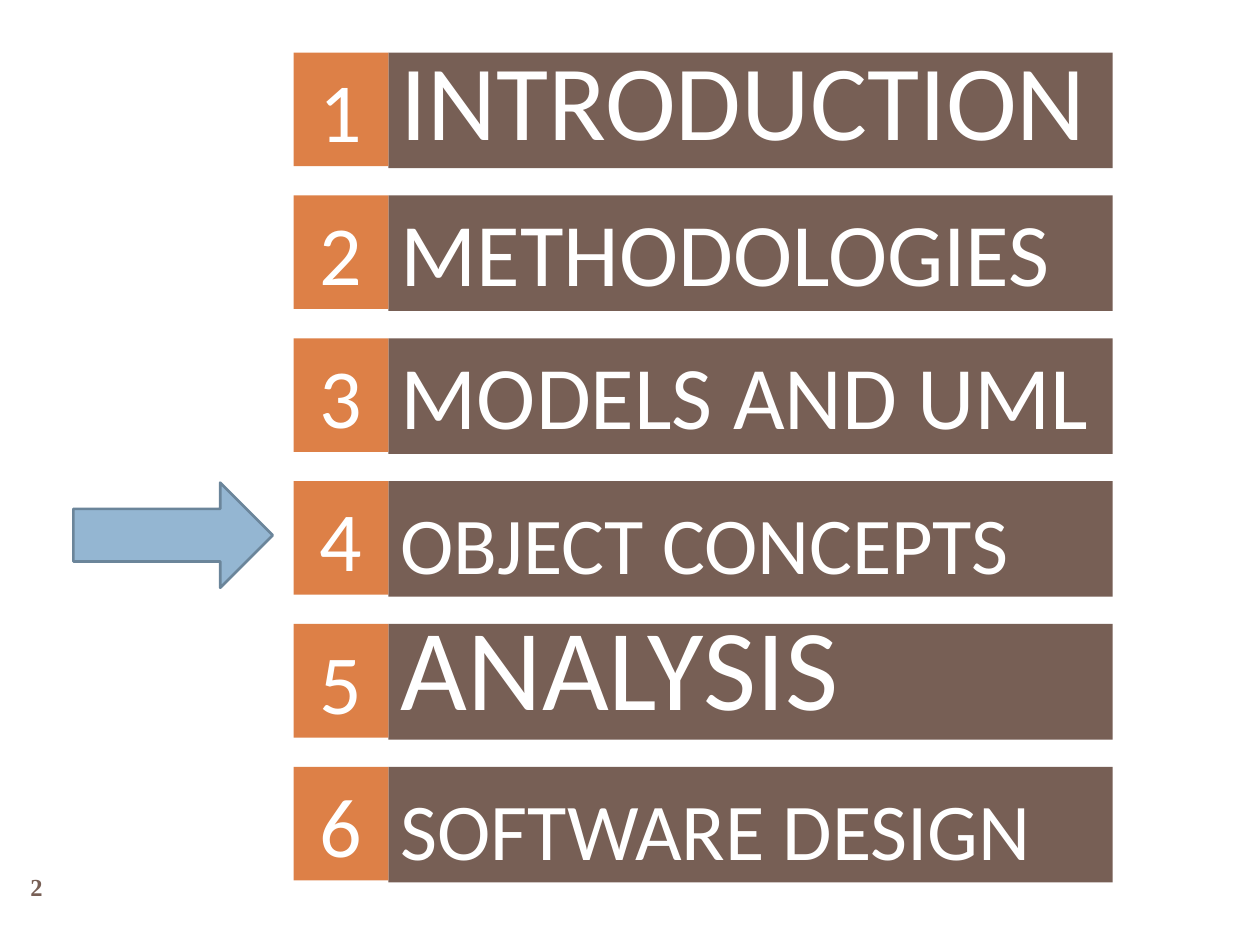
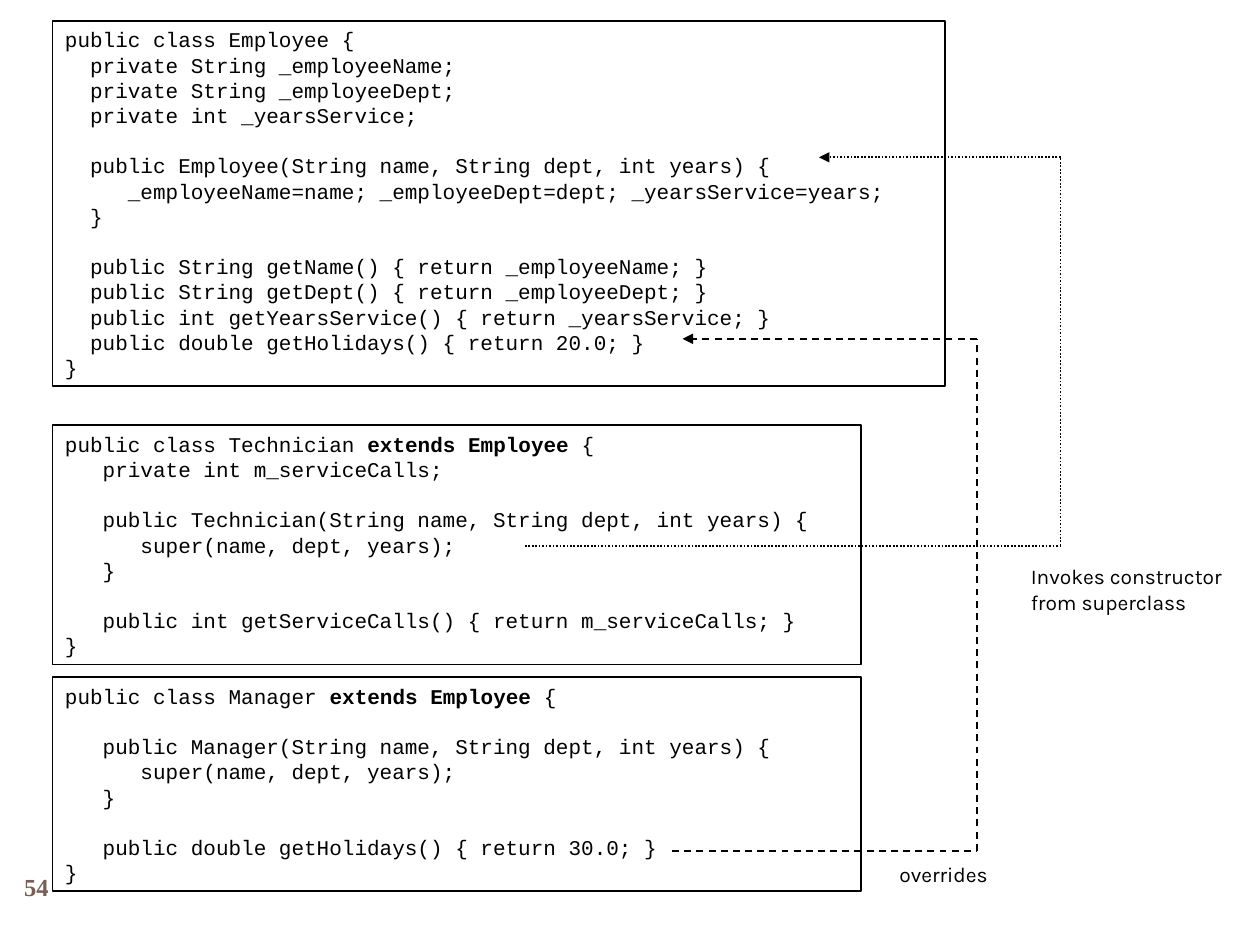
from dataclasses import dataclass
from itertools import pairwise

from pptx import Presentation
from pptx.dml.color import RGBColor
from pptx.enum.dml import MSO_LINE
from pptx.enum.shapes import MSO_CONNECTOR, MSO_SHAPE
from pptx.enum.text import MSO_ANCHOR, PP_ALIGN
from pptx.oxml.ns import qn
from pptx.util import Cm, Pt
from lxml.etree import SubElement


@dataclass(frozen=True)
class Theme:
    # Colours
    brown: RGBColor = RGBColor(0x77, 0x5F, 0x55)
    orange: RGBColor = RGBColor(0xDD, 0x80, 0x47)
    blue: RGBColor = RGBColor(0x94, 0xB6, 0xD2)
    edge: RGBColor = RGBColor(0x6B, 0x85, 0x9A)
    white: RGBColor = RGBColor(0xFF, 0xFF, 0xFF)
    black: RGBColor = RGBColor(0, 0, 0)
    # Fonts
    head: str = "Calibri"
    mono: str = "Courier New"
    label: str = "Karla"
    serif: str = "Times New Roman"
    # Type sizes and line pitches, in points
    digit: float = 48
    page: float = 14
    body: float = 12
    bar_lead: float = 38
    code_lead: float = 14.4
    note_lead: float = 14.9


THEME = Theme()
BOLD = "extends Employee"

# Agenda entries with their type sizes
TOPICS = [
    ("INTRODUCTION", 61),
    ("METHODOLOGIES", 51),
    ("MODELS AND UML", 51),
    ("OBJECT CONCEPTS", 46),
    ("ANALYSIS", 66),
    ("SOFTWARE DESIGN", 46),
]
CURRENT = 3

EMPLOYEE = """\
public class Employee {
  private String _employeeName;
  private String _employeeDept;
  private int _yearsService;

  public Employee(String name, String dept, int years) {
     _employeeName=name; _employeeDept=dept; _yearsService=years;
  }

  public String getName() { return _employeeName; }
  public String getDept() { return _employeeDept; }
  public int getYearsService() { return _yearsService; }
  public double getHolidays() { return 20.0; }
}"""

TECHNICIAN = """\
public class Technician extends Employee {
   private int m_serviceCalls;

   public Technician(String name, String dept, int years) {
      super(name, dept, years);
   }

   public int getServiceCalls() { return m_serviceCalls; }
}"""

MANAGER = """\
public class Manager extends Employee {

   public Manager(String name, String dept, int years) {
      super(name, dept, years);
   }

   public double getHolidays() { return 30.0; }
}"""


def style(para, name, size, color, bold=False, align=PP_ALIGN.LEFT, lead=None):
    para.alignment = align
    if lead:
        para.line_spacing = Pt(lead)
    font = para.font
    font.name, font.size, font.bold = name, Pt(size), bold
    font.color.rgb = color


def add_block(slide, kind, box, fill=None, line=None, width=1):
    """Preset shape; box is left, top, width, height in cm."""
    shape = slide.shapes.add_shape(kind, *map(Cm, box))
    shape.shadow.inherit = False
    if fill is None:
        shape.fill.background()
    else:
        shape.fill.solid()
        shape.fill.fore_color.rgb = fill
    if line is None:
        shape.line.fill.background()
    else:
        shape.line.color.rgb = line
        shape.line.width = Pt(width)
    return shape


def add_tile(slide, box, fill, text, anchor, size, **look):
    frame = add_block(slide, MSO_SHAPE.RECTANGLE, box, fill).text_frame
    frame.word_wrap = True
    frame.vertical_anchor = anchor
    frame.text = text
    style(frame.paragraphs[0], THEME.head, size, THEME.white, **look)


def add_code(slide, box, code):
    shape = add_block(slide, MSO_SHAPE.RECTANGLE, box, line=THEME.black)
    frame = shape.text_frame
    frame.word_wrap = True
    frame.vertical_anchor = MSO_ANCHOR.TOP
    for row, text in enumerate(code.split("\n")):
        para = frame.add_paragraph() if row else frame.paragraphs[0]
        style(para, THEME.mono, THEME.body, THEME.black, lead=THEME.code_lead)
        for part in filter(None, text.partition(BOLD)):
            run = para.add_run()
            run.text = part
            if part == BOLD:
                run.font.bold = True


def add_text(slide, box, text, *look, wrap=True, anchor=MSO_ANCHOR.TOP, **more):
    frame = slide.shapes.add_textbox(*map(Cm, box)).text_frame
    frame.word_wrap = wrap
    frame.vertical_anchor = anchor
    frame.text = text
    style(frame.paragraphs[0], *look, **more)


def add_note(slide, box, text, wrap=True):
    add_text(slide, box, text, THEME.label, THEME.body, THEME.black,
             wrap=wrap, lead=THEME.note_lead)


def add_page(slide, number):
    add_text(slide, (0, 17.35, 1.47, 1.07), str(number),
             THEME.serif, THEME.page, THEME.brown, bold=True,
             align=PP_ALIGN.CENTER, anchor=MSO_ANCHOR.MIDDLE)


def add_route(slide, points, dash):
    """Straight segments through the points, with an arrowhead on the last."""
    for start, end in pairwise(points):
        link = slide.shapes.add_connector(
            MSO_CONNECTOR.STRAIGHT, *map(Cm, start + end))
        link.line.color.rgb = THEME.black
        link.line.width = Pt(1)
        link.line.dash_style = dash
        props = link.element.spPr
        SubElement(props, qn("a:effectLst"))
    SubElement(props.find(qn("a:ln")), qn("a:tailEnd"), type="triangle")


def draw_plan(slide):
    add_page(slide, 2)
    left, top, step, split = 5.92, 1.06, 2.88, 7.83
    for row, (topic, size) in enumerate(TOPICS):
        y = top + row * step
        add_tile(slide, (split, y, 14.6, 2.33), THEME.brown, topic,
                 MSO_ANCHOR.BOTTOM, size, lead=THEME.bar_lead)
        add_tile(slide, (left, y, split - left, 2.29), THEME.orange,
                 str(row + 1), MSO_ANCHOR.TOP, THEME.digit,
                 align=PP_ALIGN.CENTER)
    # Pointer to the current topic
    add_block(slide, MSO_SHAPE.RIGHT_ARROW,
              (1.48, top + CURRENT * step + 0.03, 4.02, 2.12),
              THEME.blue, THEME.edge, 1.5)


def draw_code(slide):
    add_page(slide, 54)
    # Class listings
    left = 1.06
    add_code(slide, (left, 0.42, 17.99, 7.37), EMPLOYEE)
    add_code(slide, (left, 8.57, 16.3, 4.83), TECHNICIAN)
    add_code(slide, (left, 13.65, 16.3, 4.32), MANAGER)
    # Calls from subclass to superclass
    add_route(slide, [(10.58, 11), (21.38, 11), (21.38, 3.17), (16.51, 3.17)],
              MSO_LINE.ROUND_DOT)
    add_route(slide, [(13.55, 17.15), (19.69, 17.15), (19.69, 6.83),
                      (13.76, 6.83)], MSO_LINE.DASH)
    # Labels
    add_note(slide, (17.88, 17.22, 2.36, 0.76), "overrides", wrap=False)
    add_note(slide, (20.53, 11.22, 4.45, 1.78),
             "Invokes constructor from superclass")


def main():
    deck = Presentation()
    deck.slide_width, deck.slide_height = Cm(25.4), Cm(19.05)
    blank = deck.slide_layouts[6]
    for draw in (draw_plan, draw_code):
        draw(deck.slides.add_slide(blank))
    deck.save("out.pptx")


if __name__ == "__main__":
    main()
